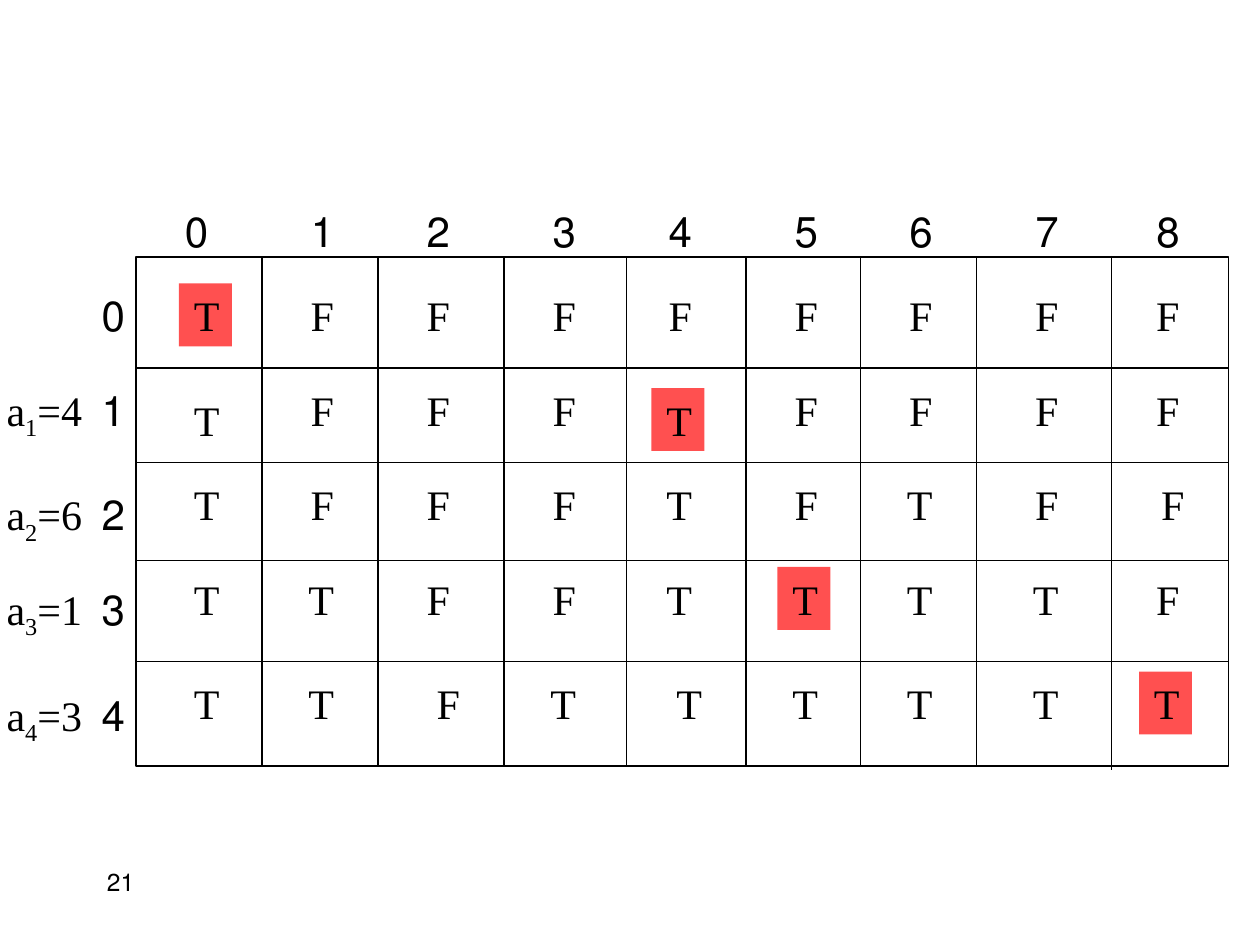
"""Build the subset-sum truth table slide."""
from lxml.etree import SubElement
from pptx import Presentation
from pptx.dml.color import RGBColor
from pptx.enum.shapes import MSO_CONNECTOR, MSO_SHAPE
from pptx.enum.text import PP_ALIGN
from pptx.oxml.ns import qn
from pptx.util import Inches, Pt

BLACK = RGBColor(0x00, 0x00, 0x00)
WHITE = RGBColor(0xFF, 0xFF, 0xFF)
RED = RGBColor(0xFF, 0x50, 0x50)

prs = Presentation()
prs.slide_width, prs.slide_height = Inches(10), Inches(7.5)
s = prs.slides.add_slide(prs.slide_layouts[6])


def add_text(text, x, y, w=0.42, h=0.5, size=24, align=PP_ALIGN.RIGHT, fill=None, sub=None):
    box = (Inches(x), Inches(y), Inches(w), Inches(h))
    if fill is None:
        sp = s.shapes.add_textbox(*box)
    else:
        sp = s.shapes.add_shape(MSO_SHAPE.RECTANGLE, *box)
        sp.shadow.inherit = False
        sp.fill.solid()
        sp.fill.fore_color.rgb = fill
        sp.line.fill.background()
    tf = sp.text_frame
    tf.word_wrap = True
    p = tf.paragraphs[0]
    pPr = p._p.get_or_add_pPr()
    pPr.set("rtl", "1")
    if align is not None:
        p.alignment = align
        spacing = SubElement(pPr, qn("a:spcBef"))
        SubElement(spacing, qn("a:spcPct")).set("val", "50000")
    for part in text.partition(sub) if sub else [text]:
        r = p.add_run()
        r.text = part
        r.font.size = Pt(size)
        r.font.name = "Times New Roman"
        r.font.color.rgb = BLACK
        if sub and part == sub:
            r.font._element.set("baseline", "-25000")


def add_line(x1, y1, x2, y2):
    line = s.shapes.add_connector(
        MSO_CONNECTOR.STRAIGHT, Inches(x1), Inches(y1), Inches(x2), Inches(y2))
    line.line.color.rgb = BLACK
    line.line.width = Pt(0.75)
    SubElement(line._element.spPr, qn("a:effectLst"))


LEFT, TOP, RIGHT, BOTTOM = 1.08, 2.04, 9.75, 6.08
frame = s.shapes.add_shape(MSO_SHAPE.RECTANGLE, Inches(LEFT), Inches(TOP),
                           Inches(RIGHT - LEFT), Inches(BOTTOM - TOP))
frame.shadow.inherit = False
frame.fill.solid()
frame.fill.fore_color.rgb = WHITE
frame.line.color.rgb = BLACK
frame.line.width = Pt(0.75)

for x in (2.08, 3, 4, 4.97, 5.92, 6.83, 7.75):
    add_line(x, TOP, x, BOTTOM)
add_line(8.82, 2.03, 8.82, 6.11)
for y in (2.92, 3.67, 4.45, 5.25):
    add_line(LEFT, y, RIGHT, y)

col_x = [1.42, 2.33, 3.25, 4.25, 5.17, 6.17, 7.08, 8.08, 9.04]
for col, x in enumerate([1.33] + col_x[1:]):
    add_text(str(col), x, 1.58)

label_y = [2.25, 3, 3.83, 4.58, 5.42]
for row, y in enumerate(label_y):
    add_text(str(row), 0.67, y)
for index, value in enumerate([4, 6, 1, 3], start=1):
    add_text(f"a{index}={value}", -0.08, label_y[index], w=0.83, sub=str(index))

truth = ["TFFFFFFFF", "TFFFTFFFF", "TFFFTFTFF", "TTFFTTTTF", "TTFTTTTTT"]
row_y = [2.25, 3, 3.75, 4.5, 5.33]
trace = {(0, 0), (1, 4), (3, 5), (4, 8)}
nudged = {(1, 0): (1.42, 3.08), (1, 4): (5.17, 3.08), (2, 8): (9.08, 3.75),
          (4, 2): (3.33, 5.33), (4, 4): (5.25, 5.33)}
for row, values in enumerate(truth):
    for col, value in enumerate(values):
        x, y = nudged.get((row, col), (col_x[col], row_y[row]))
        add_text(value, x, y, fill=RED if (row, col) in trace else WHITE)

add_text("21", 0.75, 6.83, w=2.08, size=14, align=None)

prs.save("out.pptx")
